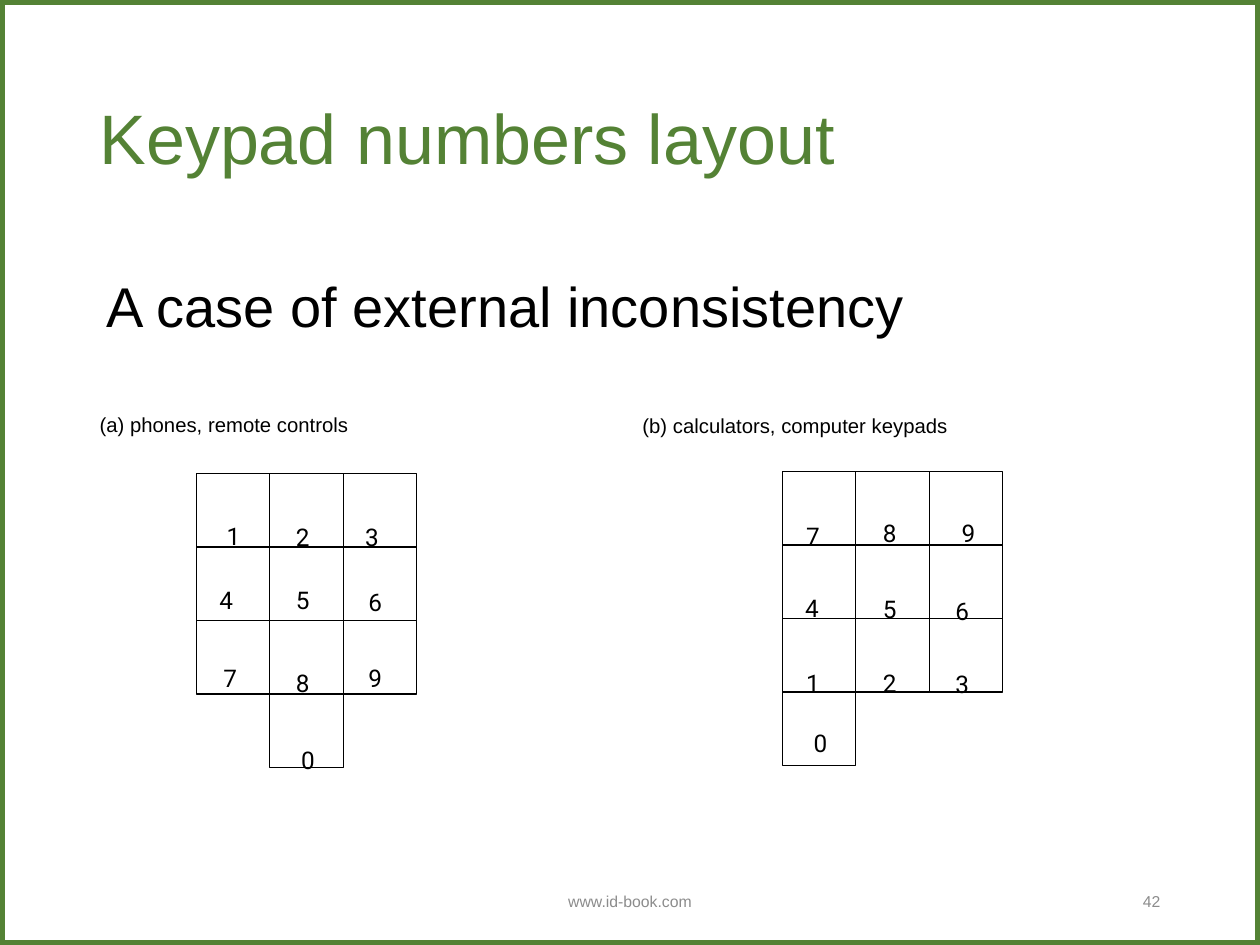
from pptx import Presentation
from pptx.dml.color import RGBColor
from pptx.enum.shapes import MSO_SHAPE
from pptx.enum.text import MSO_ANCHOR, PP_ALIGN
from pptx.util import Pt

EMU_PER_PX = 7620  # 120 px to the inch
RECT = MSO_SHAPE.RECTANGLE
TOP, MIDDLE = MSO_ANCHOR.TOP, MSO_ANCHOR.MIDDLE
LEFT, CENTER, RIGHT = PP_ALIGN.LEFT, PP_ALIGN.CENTER, PP_ALIGN.RIGHT
SLIDE_W, SLIDE_H = 1200, 900
KEY = 70
GREEN, BLACK, GREY = "548235", "000000", "8C8C8C"
SUBSCRIPT = -33000


def px(length):
    return length * EMU_PER_PX


def color(hex_string):
    return RGBColor.from_string(hex_string)


class KeypadSlide:
    def __init__(self, slide):
        self.slide = slide

    def outline(self, left, top, width, height, line_color, weight):
        box = self.slide.shapes.add_shape(
            RECT, px(left), px(top), px(width), px(height))
        box.shadow.inherit = False
        box.fill.background()
        box.line.color.rgb = color(line_color)
        box.line.width = Pt(weight)

    def text(self, left, top, width, height, words, size, ink=BLACK,
             face="Arial", align=LEFT, anchor=TOP, spacing=None, baseline=None):
        frame = self.slide.shapes.add_textbox(
            px(left), px(top), px(width), px(height)).text_frame
        frame.word_wrap = True
        frame.vertical_anchor = anchor
        paragraph = frame.paragraphs[0]
        paragraph.alignment = align
        if spacing:
            paragraph.line_spacing = spacing
        run = paragraph.add_run()
        run.text = words
        paragraph.font.size = Pt(size)
        paragraph.font.name = face
        paragraph.font.color.rgb = color(ink)
        if baseline:
            run._r.get_or_add_rPr().set("baseline", str(baseline))

    def keypad(self, left, top, keys):
        """Each key is (digit, column, row, digit offset x, digit offset y)."""
        for digit, column, row, dx, dy in keys:
            x, y = left + column * KEY, top + row * KEY
            self.outline(x, y, KEY, KEY, BLACK, 0.75)
            self.text(x + dx, y + dy, 47, 60, digit, 24,
                      face="Roboto", baseline=SUBSCRIPT)


PHONE_KEYS = [
    ("1", 0, 0, 17, 9), ("2", 1, 0, 13, 10), ("3", 2, 0, 9, 10),
    ("4", 0, 1, 10, 0), ("5", 1, 1, 13, 0), ("6", 2, 1, 12, 2),
    ("7", 0, 2, 14, 5), ("8", 1, 2, 13, 9), ("9", 2, 2, 12, 5),
    ("0", 1, 3, 18, 13),
]
CALCULATOR_KEYS = [
    ("7", 0, 0, 11, 11), ("8", 1, 0, 14, 9), ("9", 2, 0, 19, 9),
    ("4", 0, 1, 10, 10), ("5", 1, 1, 14, 11), ("6", 2, 1, 13, 13),
    ("1", 0, 2, 11, 11), ("2", 1, 2, 14, 11), ("3", 2, 2, 13, 12),
    ("0", 0, 3, 18, -1),
]


def main():
    deck = Presentation()
    deck.slide_width, deck.slide_height = px(SLIDE_W), px(SLIDE_H)
    page = KeypadSlide(deck.slides.add_slide(deck.slide_layouts[6]))

    # Frame, title and statement
    page.outline(0, 0, SLIDE_W, SLIDE_H, GREEN, 6)
    page.text(83, 48, 1034, 174, "Keypad numbers layout", 40, GREEN,
              anchor=MIDDLE, spacing=0.9)
    page.text(90, 260, 1050, 540, "A case of external inconsistency", 32,
              spacing=0.9)

    # Keypads and their labels
    page.keypad(187, 451, PHONE_KEYS)
    page.keypad(745, 449, CALCULATOR_KEYS)
    page.text(83, 362, 436, 53, "(a) phones, remote controls", 20,
              baseline=SUBSCRIPT)
    page.text(600, 363, 529, 53, "(b) calculators, computer keypads", 20,
              baseline=SUBSCRIPT)

    # Footer
    page.text(397, 834, 406, 48, "www.id-book.com", 9, GREY,
              align=CENTER, anchor=MIDDLE)
    page.text(847, 834, 270, 48, "42", 9, GREY, align=RIGHT, anchor=MIDDLE)

    deck.save("out.pptx")


if __name__ == "__main__":
    main()
